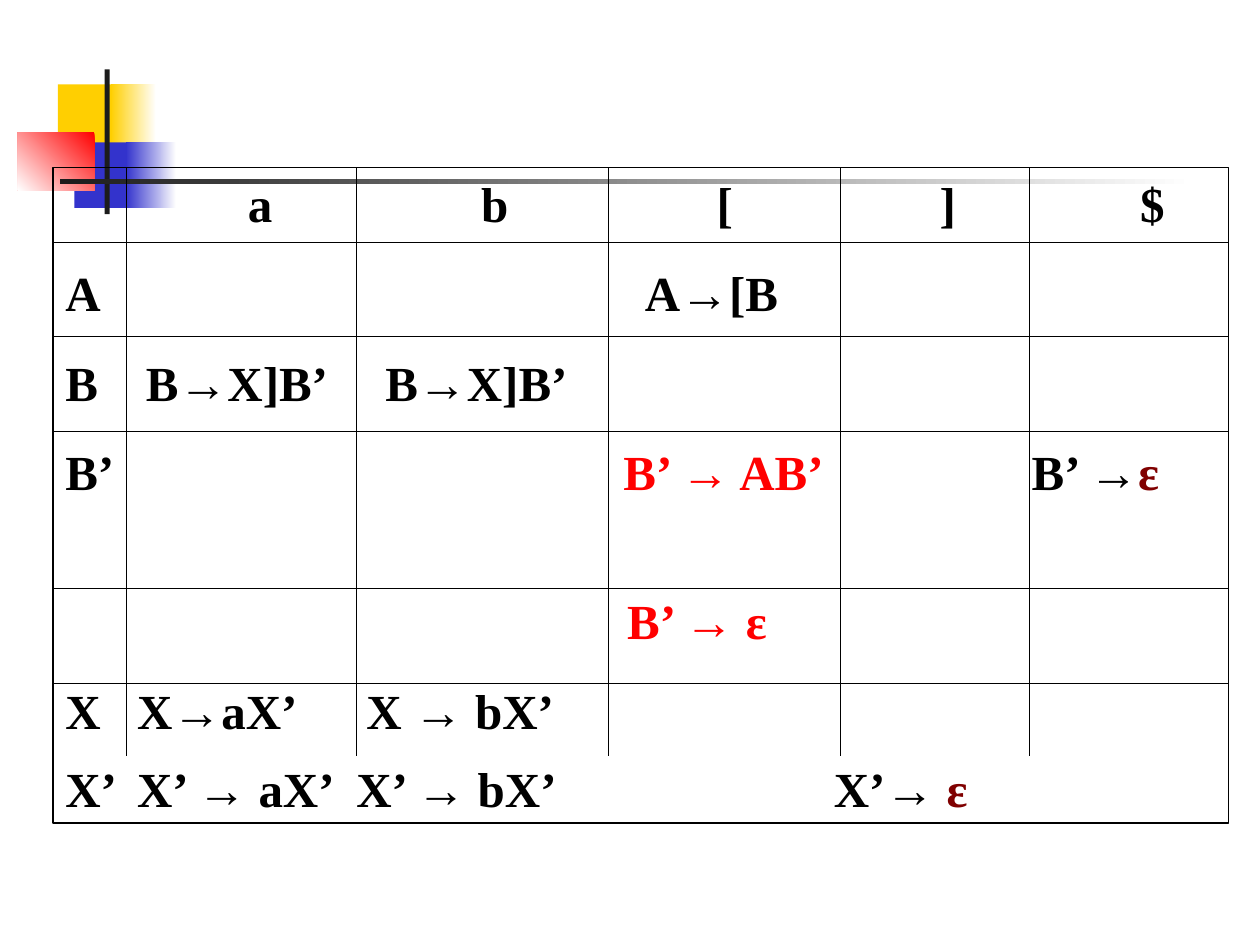
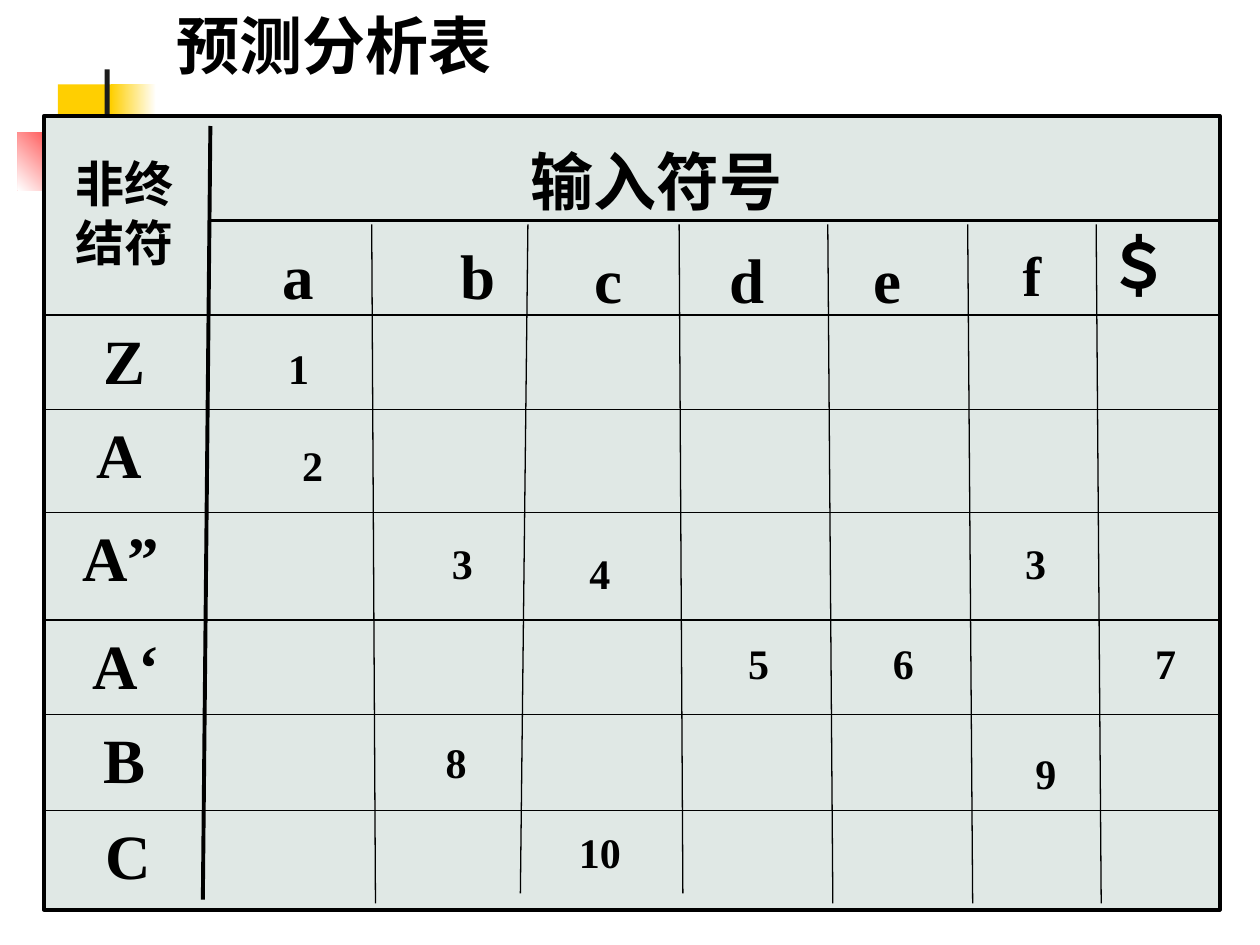
from lxml import etree
from pptx import Presentation
from pptx.dml.color import RGBColor
from pptx.enum.shapes import MSO_CONNECTOR, MSO_SHAPE
from pptx.enum.text import MSO_ANCHOR, MSO_AUTO_SIZE, PP_ALIGN
from pptx.oxml.ns import qn
from pptx.util import Inches, Pt

RECT, STRAIGHT = MSO_SHAPE.RECTANGLE, MSO_CONNECTOR.STRAIGHT
LEFT, CENTER = PP_ALIGN.LEFT, PP_ALIGN.CENTER
TOP, MIDDLE = MSO_ANCHOR.TOP, MSO_ANCHOR.MIDDLE
TITLE_ONLY, BLANK = 5, 6
FONT = "Times New Roman"
COLORS = {"black": "000000", "white": "FFFFFF", "yellow": "FFCF01", "blue": "3333CC",
          "red": "FF0000", "dark": "1C1C1C", "maroon": "800000", "panel": "E0E8E5"}

# Layout decoration: box, fill colours (one, or start and end), clockwise angle, layouts
BOTH, BLANK_ONLY = (BLANK, TITLE_ONLY), (BLANK,)
DECOR = [
    ((0.46, 0.67, 0.48, 0.52), ["yellow"], 0, BOTH),
    ((0.88, 0.67, 0.36, 0.52), ["white", "yellow"], 180, BOTH),
    ((0.59, 1.13, 0.46, 0.52), ["blue"], 0, BLANK_ONLY),
    ((1, 1.13, 0.4, 0.52), ["white", "blue"], 180, BLANK_ONLY),
    ((0.14, 1.05, 0.61, 0.46), ["red", "white"], 135, BOTH),
    ((0.83, 0.55, 0.04, 1.15), ["dark"], 0, BOTH),
    ((0.48, 1.42, 9, 0.04), ["white", "dark"], 180, BLANK_ONLY),
]

# Slide 1: each row has its tab stops, then runs of (text, colour)
LL1_BOX = (0.42, 1.33, 9.33, 5.2)
LL1_ROWS = [
    ([1.45, 3.3, 5.17, 6.94, 8.53], [("\ta\tb\t[\t]\t$", "black")]),
    ([4.6], [("A\tA→[B", "black")]),
    ([0.64, 2.54], [("B\tB→X]B’\tB→X]B’", "black")]),
    ([4.43, 7.67], [("B’\t", "black"), ("B’ → AB’", "red"), ("\tB’ →", "black"), ("ε", "maroon")]),
    ([4.46], [("\tB’ → ε", "red")]),
    ([0.57, 2.39], [("X\tX→aX’\tX → bX’", "black")]),
    ([0.57, 2.31, 6.1], [("X’\tX’ → aX’\tX’ → bX’\tX’→ ", "black"), ("ε", "maroon")]),
]
TALL_ROW = 3
LL1_LINES_Y = [1.92, 2.67, 3.42, 4.67, 5.42]
LL1_LINES_X = [1, 2.83, 4.83, 6.67, 8.17]
LL1_LINES_END = 6

# Slide 2: row tops, slanting column lines, and labels as (text, centre, top, size)
PANEL = (0.35, 0.92, 9.33, 6.3)
NONTERMINALS = [("Z", 0.99, 2.5), ("A", 0.95, 3.25), ("A”", 0.96, 4.07),
                ("A‘", 1, 4.92), ("B", 0.99, 5.67), ("C", 1.02, 6.43)]
COLUMN_LINES = [(2.95, 2.98, 7.17), (4.19, 4.13, 7.09), (5.39, 5.42, 7.09),
                (6.57, 6.61, 7.17), (7.68, 7.72, 7.17), (8.7, 8.74, 7.17)]
SYMBOLS = [("a", 2.37, 1.83, 36), ("b", 3.79, 1.83, 36), ("c", 4.83, 1.86, 36),
           ("d", 5.93, 1.86, 36), ("e", 7.04, 1.86, 36), ("f", 8.19, 1.86, 32),
           ("＄", 9.04, 1.75, 36)]
ENTRIES = [("1", 2.37, 2.67), ("2", 2.48, 3.44), ("3", 3.67, 4.22), ("4", 4.76, 4.3),
           ("3", 8.22, 4.22), ("5", 6.02, 5.01), ("6", 7.17, 5.01), ("7", 9.25, 5.01),
           ("8", 3.62, 5.8), ("9", 8.3, 5.88), ("10", 4.76, 6.51)]
LABEL_WIDTH = 1.25
LABEL_HEIGHTS = {24: 0.5, 32: 0.64, 36: 0.7}


def color(name):
    return RGBColor.from_string(COLORS[name])


def inches(values):
    return [Inches(v) for v in values]


def add_rect(slide, box, fills=(), angle=0, line=None):
    s = slide.shapes.add_shape(RECT, *inches(box))
    s.shadow.inherit = False
    if len(fills) == 2:
        s.fill.gradient()
        s.fill.gradient_angle = 360 - angle
        for stop, name in zip(s.fill.gradient_stops, fills):
            stop.color.rgb = color(name)
    elif fills:
        s.fill.solid()
        s.fill.fore_color.rgb = color(fills[0])
    else:
        s.fill.background()
    if line:
        s.line.color.rgb = color("black")
        s.line.width = Pt(line)
    else:
        s.line.fill.background()
    return s


def add_line(slide, x1, y1, x2, y2, width):
    c = slide.shapes.add_connector(STRAIGHT, *inches((x1, y1, x2, y2)))
    c.line.color.rgb = color("black")
    c.line.width = Pt(width)
    etree.SubElement(c.element.spPr, qn("a:effectLst"))


def add_run(p, text, size, name="black"):
    r = p.add_run()
    r.text = text
    r.font.name, r.font.size, r.font.bold = FONT, Pt(size), True
    r.font.color.rgb = color(name)


def set_tabs(p, stops):
    tabs = etree.SubElement(p._p.get_or_add_pPr(), qn("a:tabLst"))
    for stop in stops:
        etree.SubElement(tabs, qn("a:tab"), pos=str(Inches(stop)), algn="l")


def write(s, text, size=36, align=CENTER, anchor=TOP):
    tf = s.text_frame
    tf.word_wrap, tf.auto_size, tf.vertical_anchor = True, MSO_AUTO_SIZE.NONE, anchor
    p = tf.paragraphs[0]
    p.alignment = align
    add_run(p, text, size)


def add_text(slide, box, text, **style):
    write(slide.shapes.add_textbox(*inches(box)), text, **style)


def add_label(slide, text, centre, top, size=36):
    """Put text in a box centred on a given x."""
    box = (centre - LABEL_WIDTH / 2, top, LABEL_WIDTH, LABEL_HEIGHTS[size])
    add_text(slide, box, text, size=size)


def add_decorated_slide(prs, number):
    """Add a slide, and move the decoration drawn on it to its layout."""
    layout = prs.slide_layouts[number]
    slide = prs.slides.add_slide(layout)
    tree = layout.shapes.element
    shown = [d for d in DECOR if number in d[3]]
    for n, (box, fills, angle, _) in enumerate(shown):
        sp = add_rect(slide, box, fills, angle).element
        sp.nvSpPr.cNvPr.set("id", str(20 + n))
        tree.insert(2 + n, sp)
    return slide


def build_ll1_table(slide):
    left, top, width, _ = LL1_BOX
    tf = add_rect(slide, LL1_BOX, line=1).text_frame
    tf.word_wrap, tf.vertical_anchor = True, MIDDLE
    for n, (stops, runs) in enumerate(LL1_ROWS):
        p = tf.add_paragraph() if n else tf.paragraphs[0]
        set_tabs(p, stops)
        p.alignment = LEFT
        if n:
            p.space_before = Pt(17.5)
        if n == TALL_ROW:
            p.space_after = Pt(34)
        for text, name in runs:
            add_run(p, text, 28, name)
    p.line_spacing = 0.8
    for y in LL1_LINES_Y:
        add_line(slide, left, y, left + width, y, 0.25)
    for x in LL1_LINES_X:
        add_line(slide, x, top, x, LL1_LINES_END, 0.25)


def build_parse_table(slide):
    title = slide.shapes.title
    title.left, title.top, title.width, title.height = inches((1.3, 0, 5.25, 0.7))
    write(title, "预测分析表", align=LEFT)

    left, _, width, _ = PANEL
    right = left + width
    add_rect(slide, PANEL, ["panel"], line=2.25)
    for text, centre, top in NONTERMINALS:
        add_line(slide, left, top, right, top, 0.25 if text == "C" else 0.75)
        add_label(slide, text, centre, top)
    add_line(slide, 1.67, 1.75, right, 1.75, 2.25)
    add_line(slide, 1.67, 1, 1.61, 7.14, 2.25)
    for x1, x2, bottom in COLUMN_LINES:
        add_line(slide, x1, 1.78, x2, bottom, 0.75)

    add_text(slide, (0.5, 1.17, 1, 1.04), "非终结符", size=28, align=LEFT)
    add_text(slide, (3.17, 1.08, 4.08, 0.7), "输入符号")
    for symbol in SYMBOLS:
        add_label(slide, *symbol)
    for entry in ENTRIES:
        add_label(slide, *entry, size=24)


def main():
    prs = Presentation()
    prs.slide_width, prs.slide_height = Inches(10), Inches(7.5)
    build_ll1_table(add_decorated_slide(prs, BLANK))
    build_parse_table(add_decorated_slide(prs, TITLE_ONLY))
    prs.save("out.pptx")


if __name__ == "__main__":
    main()
